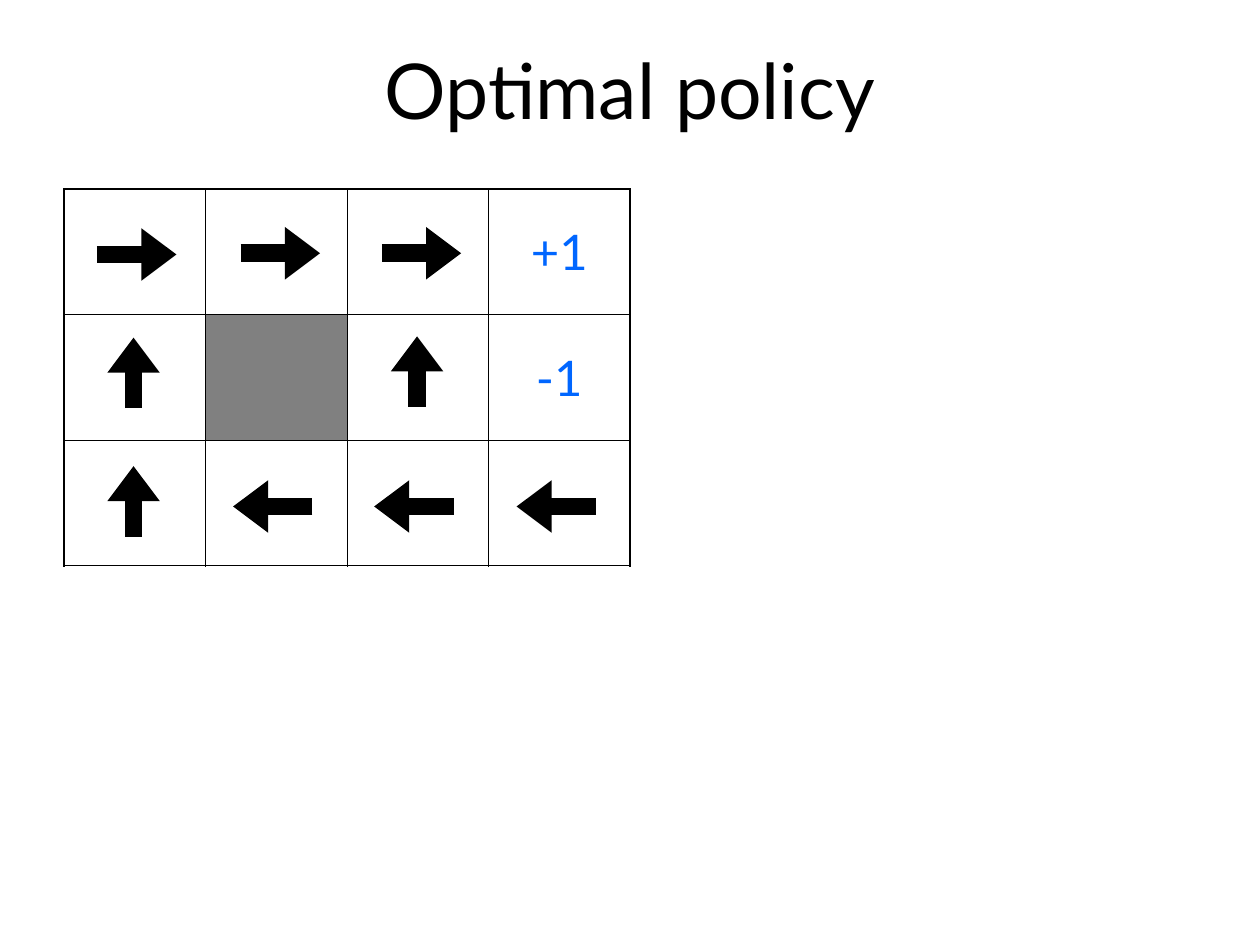
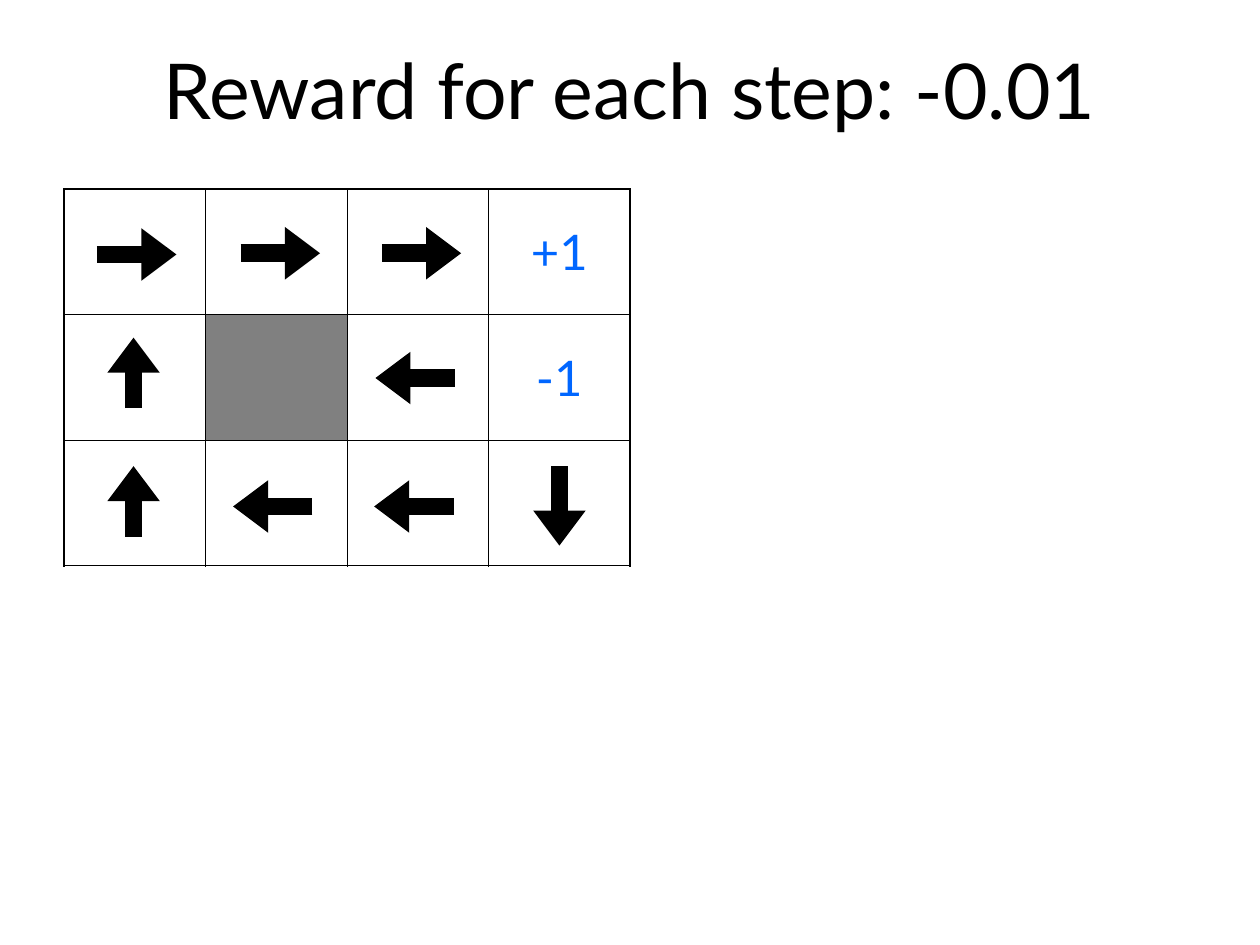
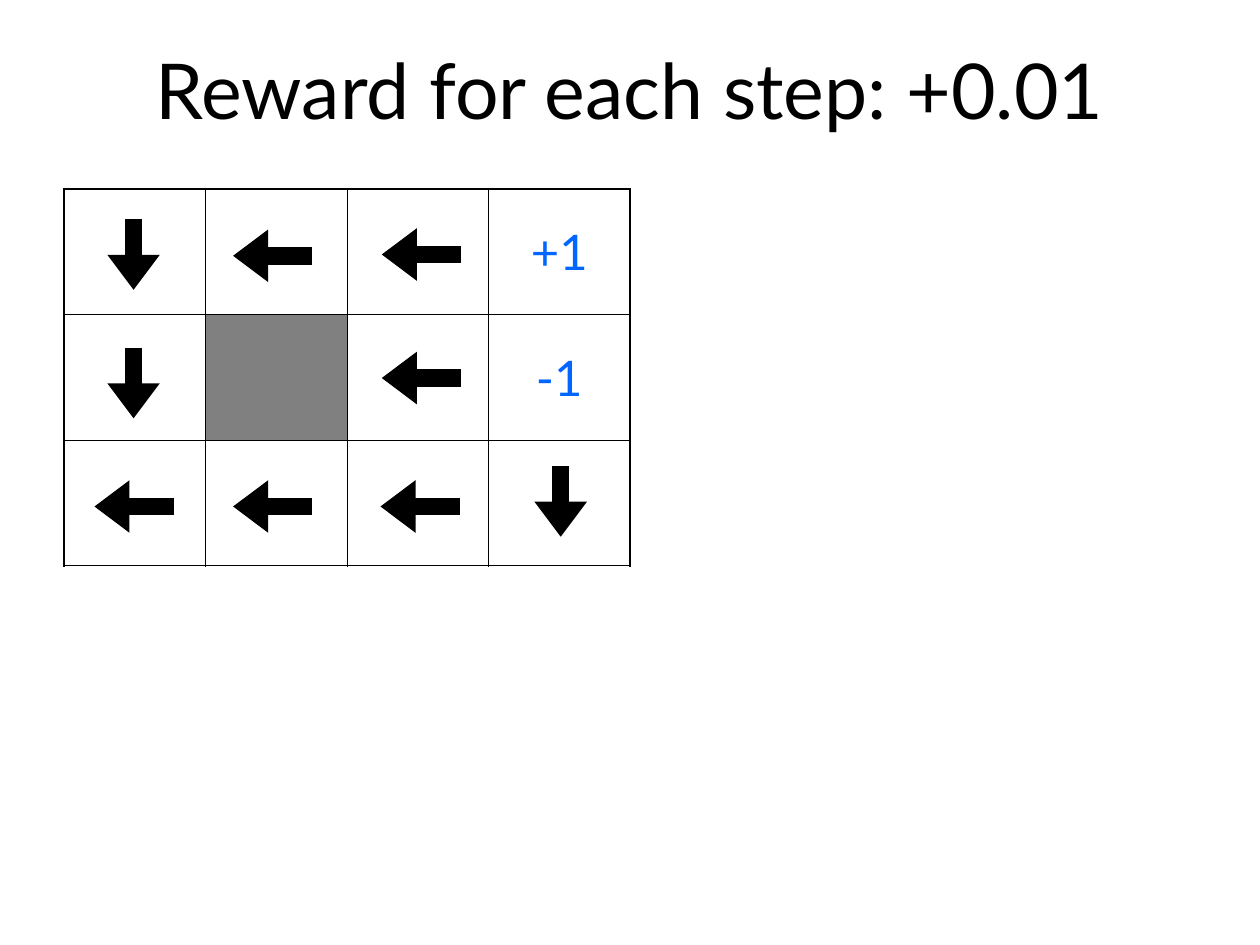
from lxml import etree
from pptx import Presentation
from pptx.dml.color import RGBColor
from pptx.enum.shapes import MSO_CONNECTOR
from pptx.enum.text import MSO_ANCHOR, PP_ALIGN
from pptx.oxml.ns import qn
from pptx.util import Inches, Pt

LINE = MSO_CONNECTOR.STRAIGHT
MIDDLE = MSO_ANCHOR.MIDDLE
CENTER = PP_ALIGN.CENTER

COLORS = {"ink": "000000", "wall": "808080", "score": "0066FF"}
FONT = "Lato"
ROWS, COLS = 3, 4
THIN, THICK = 0.45, 1.08
SCORES = {(0, 3): "+1", (1, 3): "-1"}
WALL = (1, 1)
STEPS = {
    "right": (0.63, 0),
    "left": (-0.63, 0),
    "up": (0, -0.56),
    "down": (0, 0.56),
    "long down": (0, 0.63),
}

# Each move is a direction and the point where its arrow starts.
SHARED = [
    ("right", 0.77, 2.02),
    ("up", 1.06, 4.26),
    ("right", 1.91, 2.01),
    ("left", 2.48, 4.02),
    ("left", 3.6, 4.02),
    ("right", 3.03, 2.01),
    ("up", 1.06, 3.24),
]
SLIDES = [
    ("Optimal policy",
     SHARED + [("up", 3.31, 3.23), ("left", 4.73, 4.02)]),
    ("Reward for each step: -0.01",
     SHARED + [("left", 3.61, 3), ("long down", 4.44, 3.7)]),
    ("Reward for each step: +0.01", [
        ("left", 3.65, 4.02),
        ("down", 4.45, 3.7),
        ("left", 3.66, 3),
        ("left", 3.66, 2.02),
        ("left", 2.48, 2.03),
        ("down", 1.06, 1.74),
        ("down", 1.06, 2.76),
        ("left", 2.48, 4.02),
        ("left", 1.38, 4.02),
    ]),
]


def color(name):
    return RGBColor.from_string(COLORS[name])


class Deck:
    def __init__(self):
        self.prs = Presentation()
        self.prs.slide_width = Inches(10)
        self.prs.slide_height = Inches(7.5)
        self.slide = None

    def label(self, frame, text, size, tint):
        frame.text = text
        para = frame.paragraphs[0]
        para.alignment = CENTER
        font = para.runs[0].font
        font.name = FONT
        font.size = Pt(size)
        font.color.rgb = color(tint)

    def start(self, title):
        """Add a slide with its title."""
        self.slide = self.prs.slides.add_slide(self.prs.slide_layouts[5])
        box = self.slide.shapes.title
        box.left, box.top = Inches(0.5), Inches(0.08)
        box.width, box.height = Inches(9), Inches(1.25)
        box.text_frame.vertical_anchor = MIDDLE
        self.label(box.text_frame, title, 44, "ink")

    def border(self, cell, row, col):
        """Draw thick lines on the outer edge and thin ones inside."""
        outer = {"L": col == 0, "R": col == COLS - 1,
                 "T": row == 0, "B": row == ROWS - 1}
        props = cell._tc.get_or_add_tcPr()
        for side, edge in outer.items():
            line = etree.SubElement(props, qn("a:ln" + side))
            line.set("w", str(Pt(THICK if edge else THIN)))
            fill = etree.SubElement(line, qn("a:solidFill"))
            etree.SubElement(fill, qn("a:srgbClr")).set("val", COLORS["ink"])

    def grid(self):
        table = self.slide.shapes.add_table(
            ROWS, COLS, Inches(0.51), Inches(1.5),
            Inches(4.49), Inches(2.99)).table
        table.first_row = table.horz_banding = False
        for row in range(ROWS):
            for col in range(COLS):
                cell = table.cell(row, col)
                cell.vertical_anchor = MIDDLE
                self.border(cell, row, col)
                if (row, col) == WALL:
                    cell.fill.solid()
                    cell.fill.fore_color.rgb = color("wall")
                else:
                    cell.fill.background()
                if (row, col) in SCORES:
                    self.label(cell.text_frame, SCORES[row, col], 28, "score")

    def arrow(self, way, x, y):
        dx, dy = STEPS[way]
        item = self.slide.shapes.add_connector(
            LINE, Inches(x), Inches(y), Inches(x + dx), Inches(y + dy))
        item.line.width = Pt(10)
        item.line.color.rgb = color("ink")
        props = item._element.spPr
        head = etree.SubElement(props.find(qn("a:ln")), qn("a:tailEnd"))
        head.set("type", "triangle")
        head.set("w", "med")
        head.set("len", "sm")
        etree.SubElement(props, qn("a:effectLst"))


def main():
    deck = Deck()
    for title, moves in SLIDES:
        deck.start(title)
        deck.grid()
        for move in moves:
            deck.arrow(*move)
    deck.prs.save("out.pptx")


if __name__ == "__main__":
    main()
